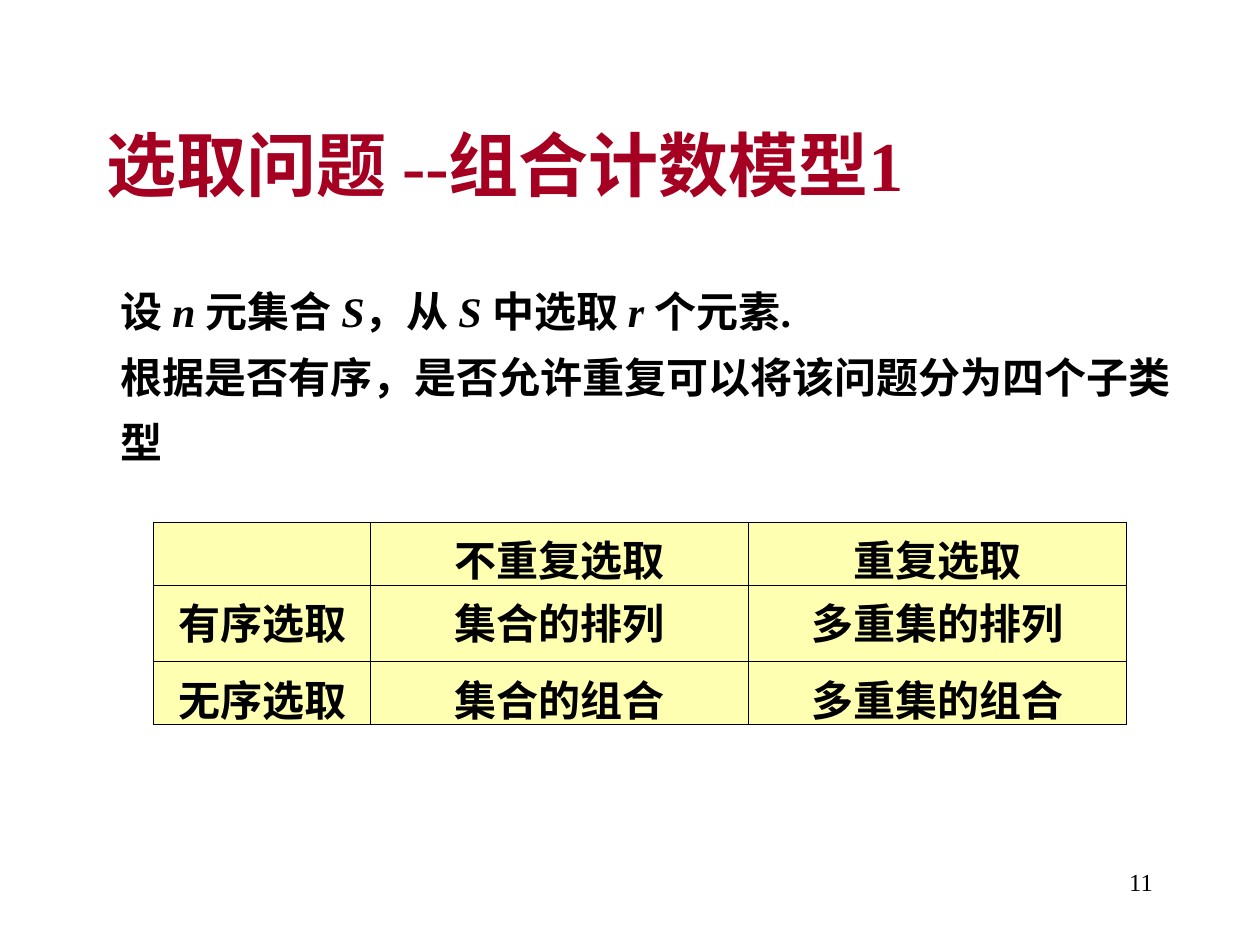
import pptx
import pptx.dml.color
import pptx.enum.text
import pptx.oxml
import pptx.oxml.ns
import pptx.util
from pptx.util import Cm

RGBColor = pptx.dml.color.RGBColor
Align = pptx.enum.text.PP_ALIGN
CRIMSON = RGBColor(0xA5, 0x00, 0x21)
BLACK = RGBColor(0x00, 0x00, 0x00)
YELLOW = RGBColor(0xFF, 0xFF, 0x66)
FONT = "Times New Roman"

STATEMENT = [
    "设 *n *元集合 *S*，从 *S *中选取 *r *个元素.",
    "根据是否有序，是否允许重复可以将该问题分为四个子类型",
]
SELECTION_TYPES = [
    ["", "不重复选取", "重复选取"],
    ["有序选取", "集合的排列", "多重集的排列"],
    ["无序选取", "集合的组合", "多重集的组合"],
]
COLUMN_WIDTHS = [Cm(4.37), Cm(7.62), Cm(7.62)]
ROW_HEIGHTS = [Cm(1.27), Cm(1.55), Cm(1.27)]


def write_text(frame, paragraphs, size=24, color=BLACK, bold=True,
               align=Align.LEFT, line_spacing=None):
    """Fill a text frame; stretches between asterisks become italic."""
    for index, text in enumerate(paragraphs):
        paragraph = frame.add_paragraph() if index else frame.paragraphs[0]
        paragraph.alignment = align
        paragraph.line_spacing = line_spacing
        for part, words in enumerate(text.split("*")):
            run = paragraph.add_run()
            run.text = words
            font = run.font
            font.name = FONT
            font.size = pptx.util.Pt(size)
            font.bold = bold
            font.italic = part % 2 == 1
            font.color.rgb = color


def add_text(slide, left, top, width, height, paragraphs,
             anchor=pptx.enum.text.MSO_ANCHOR.TOP, **text_format):
    frame = slide.shapes.add_textbox(left, top, width, height).text_frame
    frame.word_wrap = True
    frame.vertical_anchor = anchor
    write_text(frame, paragraphs, **text_format)
    return frame


def style_cell(cell):
    """Give a cell thin black borders and a half-transparent yellow fill."""
    cell.fill.solid()
    cell.fill.fore_color.rgb = YELLOW
    properties = cell._tc.get_or_add_tcPr()
    color = properties.find(".//" + pptx.oxml.ns.qn("a:srgbClr"))
    namespace = pptx.oxml.ns.nsdecls("a")
    color.append(pptx.oxml.parse_xml(f'<a:alpha {namespace} val="50000"/>'))
    for position, side in enumerate(("lnL", "lnR", "lnT", "lnB")):
        border = pptx.oxml.parse_xml(
            f'<a:{side} {namespace} w="5715"><a:solidFill>'
            f'<a:srgbClr val="{BLACK}"/></a:solidFill></a:{side}>')
        properties.insert(position, border)


def add_selection_table(slide, left, top):
    table = slide.shapes.add_table(
        len(ROW_HEIGHTS), len(COLUMN_WIDTHS), left, top,
        sum(COLUMN_WIDTHS), sum(ROW_HEIGHTS)).table
    table.first_row = False
    table.horz_banding = False
    for column, width in zip(table.columns, COLUMN_WIDTHS):
        column.width = width
    for row, height, texts in zip(table.rows, ROW_HEIGHTS, SELECTION_TYPES):
        row.height = height
        for cell, text in zip(row.cells, texts):
            style_cell(cell)
            if text:
                write_text(cell.text_frame, [text], align=Align.CENTER)


def main():
    presentation = pptx.Presentation()
    presentation.slide_width = Cm(25.4)
    presentation.slide_height = Cm(19.05)
    slide = presentation.slides.add_slide(presentation.slide_layouts[6])

    add_text(slide, Cm(1.9), Cm(1.7), Cm(21.6), Cm(3.18),
             ["选取问题 --组合计数模型1"], size=40, color=CRIMSON,
             anchor=pptx.enum.text.MSO_ANCHOR.MIDDLE)
    statement = add_text(slide, Cm(2.18), Cm(5.33), Cm(21.72), Cm(4.22),
                         STATEMENT, line_spacing=1.3)
    statement.auto_size = pptx.enum.text.MSO_AUTO_SIZE.SHAPE_TO_FIT_TEXT
    add_selection_table(slide, Cm(3.1), Cm(10.52))
    add_text(slide, Cm(18.21), Cm(17.35), Cm(5.28), Cm(1.27), ["11"],
             size=14, bold=False, align=Align.RIGHT)

    presentation.save("out.pptx")


if __name__ == "__main__":
    main()
